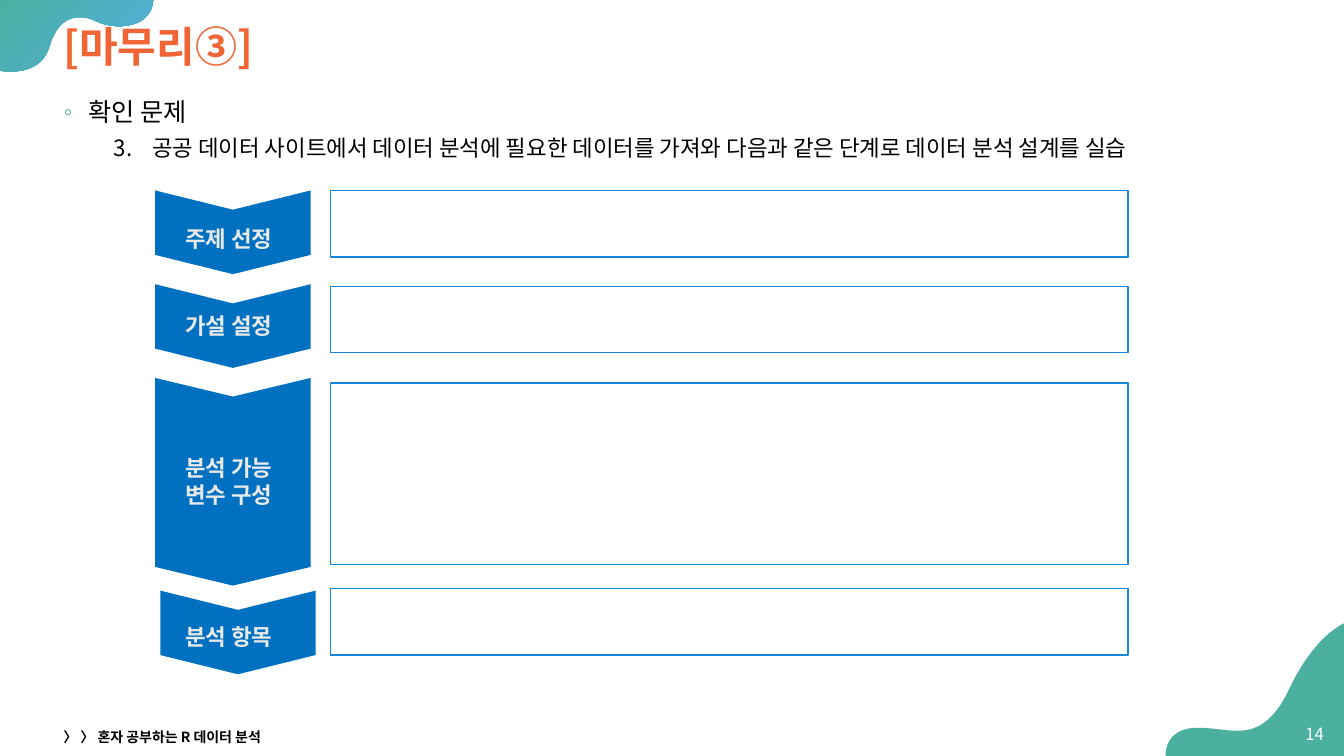
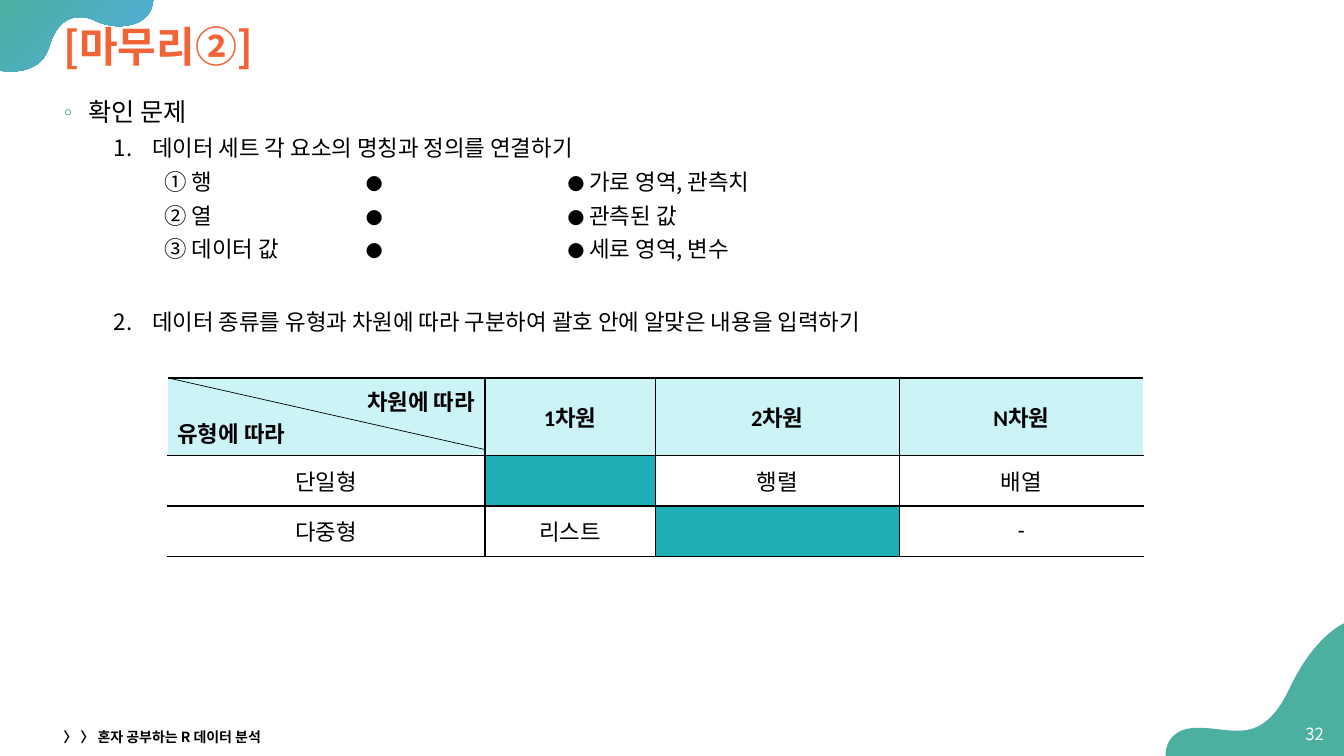
"""Build two review slides of a course on data analysis with R."""
from lxml import etree
from pptx import Presentation, util as u
from pptx.dml.color import RGBColor
from pptx.enum import shapes, text
from pptx.oxml.ns import qn

COLORS = {
    "teal": "4BB0A0", "sky": "52AEE1", "orange": "F06436", "black": "000000",
    "white": "FFFFFF", "step": "0070C0", "label": "E9E9E9", "frame": "1A85D5",
    "header": "CCF4F6", "answer": "1FAEB6",
}
SANS = "Noto Sans CJK KR"
LATIN = "Calibri"
FOOTER = "〉 〉 혼자 공부하는 R 데이터 분석"
CORNER_TOP = [
    [(1.52, -0.02)], [(-0.01, -0.02)], [(-0.01, 0.7)],
    [(-0.01, 0.7), (0.04, 0.71), (0.11, 0.71)],
    [(0.24, 0.71), (0.43, 0.67), (0.49, 0.46)],
    [(0.56, 0.23), (0.68, 0.17), (0.79, 0.17)],
    [(0.84, 0.17), (0.89, 0.18), (0.93, 0.2)],
    [(1.01, 0.24), (1.1, 0.26), (1.18, 0.26)],
    [(1.37, 0.26), (1.52, 0.17), (1.52, -0.02)],
]
CORNER_BOTTOM = [
    [(13.34, 6.18)],
    [(13.34, 6.18), (13.04, 6.29), (12.78, 6.85)],
    [(12.62, 7.18), (12.45, 7.25), (12.27, 7.25)],
    [(12.15, 7.25), (12.02, 7.22), (11.88, 7.22)],
    [(11.54, 7.22), (11.56, 7.5), (11.56, 7.5)],
    [(13.34, 7.5)], [(13.34, 6.18)],
]
STEPS = [
    (1.54, 1.89, 0.83, 0.23, 2.18, ["주제 선정"]),
    (1.54, 2.82, 0.83, 0.23, 3.05, ["가설 설정"]),
    (1.54, 3.75, 2.06, 0.12, 4.46, ["분석 가능", "변수 구성"]),
    (1.59, 5.86, 0.83, 0.23, 6.13, ["분석 항목"]),
]
ANSWER_BOXES = [(1.89, 0.66), (2.84, 0.66), (3.8, 1.8), (5.84, 0.66)]
PAIRS = [
    ("① 행\t\t", "가로 영역, 관측치"),
    ("② 열\t\t", "관측된 값"),
    ("③ 데이터 값\t", "세로 영역, 변수"),
]
TABLE_ROWS = [
    ["차원에 따라\n유형에 따라", "1차원", "2차원", "N차원"],
    ["단일형", "", "행렬", "배열"],
    ["다중형", "리스트", "", "-"],
]
COLUMN_WIDTHS = [3.15, 1.69, 2.42, 2.42]
ROW_HEIGHTS = [0.77, 0.5, 0.5]


def rgb(name):
    """Return a named colour."""
    return RGBColor.from_string(COLORS[name])


def area(left, top, width, height):
    """Return a rectangle given in inches as lengths."""
    return [u.Inches(value) for value in (left, top, width, height)]


def add_span(paragraph, content, size=16, color="black", bold=False, font=SANS, east=SANS):
    """Append a formatted run to a paragraph."""
    span = paragraph.add_run()
    span.text = content
    span.font.size = u.Pt(size)
    span.font.bold = bold
    span.font.name = font
    span.font.color.rgb = rgb(color)
    etree.SubElement(span._r.get_or_add_rPr(), qn("a:ea"), typeface=east)


def add_label(page, place, lines, align=text.PP_ALIGN.LEFT, wrap=True,
              anchor=text.MSO_ANCHOR.MIDDLE, **style):
    """Add a text box with one paragraph per line."""
    box = page.shapes.add_textbox(*area(*place))
    frame = box.text_frame
    frame.word_wrap = wrap
    frame.vertical_anchor = anchor
    for index, line in enumerate(lines):
        paragraph = frame.add_paragraph() if index else frame.paragraphs[0]
        paragraph.alignment = align
        add_span(paragraph, line, **style)
    return box


def add_shape(page, kind, place, fill, line=None):
    """Add a flat preset shape."""
    shape = page.shapes.add_shape(kind, *area(*place))
    shape.shadow.inherit = False
    shape.fill.solid()
    shape.fill.fore_color.rgb = rgb(fill)
    if line:
        shape.line.color.rgb = rgb(line)
        shape.line.width = u.Pt(1)
    else:
        shape.line.fill.background()
    return shape


def add_corner(page, segments):
    """Add a closed outline made of straight and curved segments."""
    ends = [[u.Inches(value) for value in segment[-1]] for segment in segments]
    builder = page.shapes.build_freeform(*ends[0])
    builder.add_line_segments(ends[1:], close=True)
    shape = builder.convert_to_shape()
    outline = next(shape.element.iter(qn("a:path")))
    for child in list(outline):
        outline.remove(child)
    for index, segment in enumerate(segments):
        name = "cubicBezTo" if len(segment) == 3 else "lnTo" if index else "moveTo"
        command = etree.SubElement(outline, qn("a:" + name))
        for x, y in segment:
            etree.SubElement(command, qn("a:pt"), x=str(u.Inches(x) - shape.left),
                             y=str(u.Inches(y) - shape.top))
    etree.SubElement(outline, qn("a:close"))
    shape.shadow.inherit = False
    shape.line.fill.background()
    return shape


def dress_layout(layout, page):
    """Move the shared corners and footer from a page to its layout."""
    top = add_corner(page, CORNER_TOP)
    top.fill.gradient()
    top.fill.gradient_angle = 315
    for stop, name in zip(top.fill.gradient_stops, ("teal", "sky")):
        stop.color.rgb = rgb(name)
    bottom = add_corner(page, CORNER_BOTTOM)
    bottom.fill.solid()
    bottom.fill.fore_color.rgb = rgb("teal")
    footer = add_label(page, (0.53, 7.19, 4.5, 0.24), [FOOTER], size=10, bold=True)
    for shape in (top, bottom, footer):
        layout.shapes.element.append(shape.element)


def place_frame(box, place, anchor):
    """Position a placeholder and return its text frame."""
    box.left, box.top, box.width, box.height = area(*place)
    frame = box.text_frame
    frame.auto_size = text.MSO_AUTO_SIZE.NONE
    frame.word_wrap = True
    frame.vertical_anchor = anchor
    return frame


def fill_page(page, title, number):
    """Write the title and page number, and return the body frame."""
    frame = place_frame(page.shapes.title, (0.53, 0.12, 12.34, 0.73), text.MSO_ANCHOR.MIDDLE)
    heading = frame.paragraphs[0]
    heading.alignment = text.PP_ALIGN.LEFT
    heading.line_spacing = 0.9
    add_span(heading, title, size=30, color="orange", bold=True)
    add_label(page, (12.79, 7.08, 0.44, 0.4), [number], align=text.PP_ALIGN.RIGHT,
              size=12, color="white")
    body = place_frame(page.placeholders[1], (0.53, 0.91, 12.34, 6.28), text.MSO_ANCHOR.TOP)
    add_topic(body, "확인 문제")
    return body


def format_item(paragraph, level, margin, indent, before):
    """Set the level, indents and spacing of a list item."""
    paragraph.level = level
    paragraph.line_spacing = 1.0
    paragraph.space_before = u.Pt(before)
    properties = paragraph._p.get_or_add_pPr()
    properties.set("marL", str(u.Inches(margin)))
    properties.set("indent", str(u.Inches(indent)))
    return properties


def add_topic(frame, content):
    """Write the ring-bulleted first paragraph."""
    paragraph = frame.paragraphs[0]
    properties = format_item(paragraph, 0, 0.25, -0.25, 0)
    color = etree.SubElement(properties, qn("a:buClr"))
    etree.SubElement(color, qn("a:srgbClr"), val=COLORS["teal"])
    etree.SubElement(properties, qn("a:buChar"), char="◦")
    add_span(paragraph, content, size=18)


def add_question(frame, number, content, before=5):
    """Add a numbered question."""
    paragraph = frame.add_paragraph()
    properties = format_item(paragraph, 1, 0.88, -0.38, before)
    etree.SubElement(properties, qn("a:buFont"), typeface=SANS)
    etree.SubElement(properties, qn("a:buAutoNum"), type="arabicPeriod", startAt=str(number))
    add_span(paragraph, content)


def add_pair(frame, term, meaning):
    """Add a term and a meaning with dots to be joined."""
    paragraph = frame.add_paragraph()
    properties = format_item(paragraph, 2, 1, 0, 5)
    properties.set("defTabSz", str(u.Inches(1)))
    etree.SubElement(properties, qn("a:buNone"))
    add_span(paragraph, term)
    add_span(paragraph, "●\t\t●", size=12)
    add_span(paragraph, " " + meaning)


def add_step(page, left, top, height, point, label_top, lines):
    """Add a downward chevron and its label."""
    width = 1.54
    shift = (width - height) / 2
    chevron = add_shape(page, shapes.MSO_SHAPE.CHEVRON,
                        (left + shift, top - shift, height, width), "step")
    chevron.rotation = 90
    chevron.adjustments[0] = point
    add_label(page, (1.74, label_top, 1.15, 0.1 + 0.27 * len(lines)), lines, wrap=False,
              anchor=text.MSO_ANCHOR.TOP, color="label", bold=True, font=LATIN, east=LATIN)


def set_borders(cell, sides):
    """Draw one-point cell borders in the colour of each side."""
    properties = cell._tc.get_or_add_tcPr()
    for side, name in sides.items():
        line = etree.SubElement(properties, qn("a:ln" + side), w=str(u.Pt(1)))
        fill = etree.SubElement(line, qn("a:solidFill"))
        etree.SubElement(fill, qn("a:srgbClr"), val=COLORS[name])


def fill_cell(cell, row, column, content):
    """Write and format one table cell."""
    last = len(COLUMN_WIDTHS) - 1
    set_borders(cell, {"L": "black" if column else "white",
                       "R": "black" if column < last else "white",
                       "T": "black", "B": "black"})
    cell.fill.solid()
    cell.fill.fore_color.rgb = rgb("header" if row == 0 else "white" if content else "answer")
    cell.vertical_anchor = text.MSO_ANCHOR.MIDDLE
    lines = content.split("\n") if content else []
    aligns = [text.PP_ALIGN.CENTER]
    if len(lines) == 2:
        aligns = [text.PP_ALIGN.RIGHT, text.PP_ALIGN.LEFT]
    for index, (line, align) in enumerate(zip(lines, aligns)):
        frame = cell.text_frame
        paragraph = frame.add_paragraph() if index else frame.paragraphs[0]
        paragraph.alignment = align
        add_span(paragraph, line, bold=row == 0, font=LATIN)


def add_type_table(page):
    """Add the table of data types with its split header cell."""
    place = area(1.66, 3.75, sum(COLUMN_WIDTHS), sum(ROW_HEIGHTS))
    table = page.shapes.add_table(len(TABLE_ROWS), len(COLUMN_WIDTHS), *place).table
    table.first_row = table.horz_banding = False
    for column, width in zip(table.columns, COLUMN_WIDTHS):
        column.width = u.Inches(width)
    for index, (row, height) in enumerate(zip(table.rows, ROW_HEIGHTS)):
        row.height = u.Inches(height)
        for column, content in enumerate(TABLE_ROWS[index]):
            fill_cell(table.cell(index, column), index, column, content)
    diagonal = page.shapes.add_connector(shapes.MSO_CONNECTOR.STRAIGHT,
                                         *area(4.81, 4.46, 1.67, 3.75))
    diagonal.line.color.rgb = rgb("black")
    diagonal.line.width = u.Pt(0.5)
    etree.SubElement(diagonal.element.spPr, qn("a:effectLst"))


def build_design_page(page):
    """Fill the page on designing an analysis."""
    body = fill_page(page, "[마무리③]", "14")
    add_question(body, 3, "공공 데이터 사이트에서 데이터 분석에 필요한 데이터를 가져와 "
                          "다음과 같은 단계로 데이터 분석 설계를 실습")
    for step in STEPS:
        add_step(page, *step)
    for top, height in ANSWER_BOXES:
        add_shape(page, shapes.MSO_SHAPE.RECTANGLE, (3.28, top, 7.91, height), "white", "frame")


def build_types_page(page):
    """Fill the page on data elements and data types."""
    body = fill_page(page, "[마무리②]", "32")
    add_question(body, 1, "데이터 세트 각 요소의 명칭과 정의를 연결하기")
    for pair in PAIRS:
        add_pair(body, *pair)
    add_question(body, 2, "데이터 종류를 유형과 차원에 따라 구분하여 괄호 안에 알맞은 내용을 입력하기",
                 before=33)
    add_type_table(page)


def main():
    """Build and save the deck."""
    deck = Presentation()
    deck.slide_width, deck.slide_height = u.Inches(13.33), u.Inches(7.5)
    layout = deck.slide_layouts[1]
    pages = [deck.slides.add_slide(layout) for _ in range(2)]
    dress_layout(layout, pages[0])
    build_design_page(pages[0])
    build_types_page(pages[1])
    deck.save("out.pptx")


if __name__ == "__main__":
    main()
